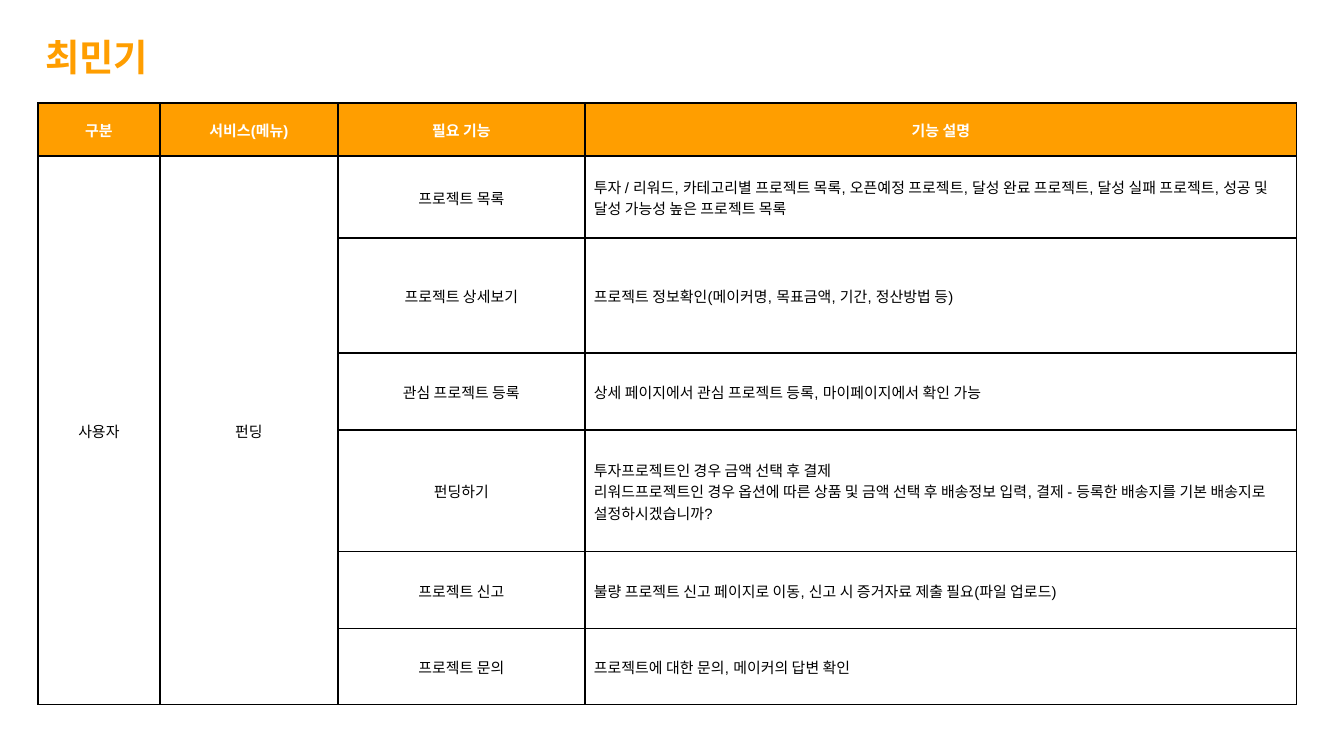
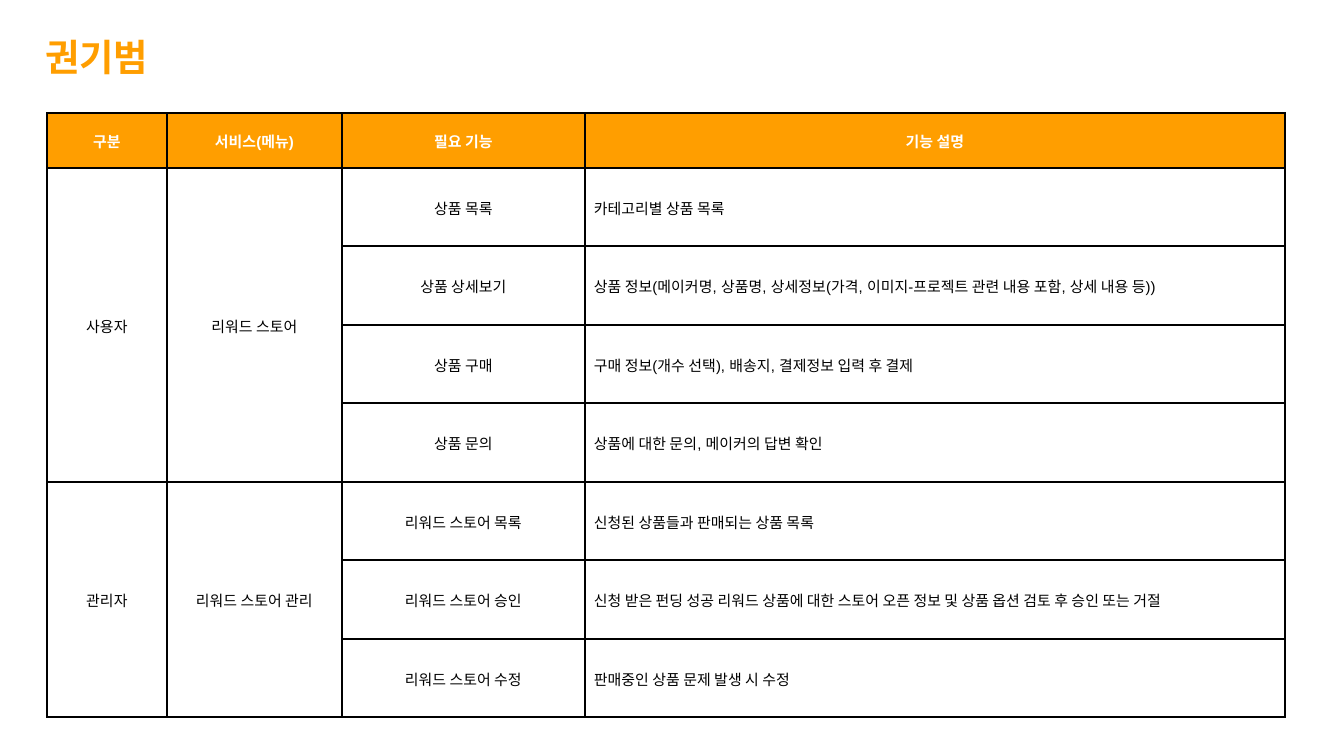
from lxml.etree import SubElement
from pptx import Presentation
from pptx.dml.color import RGBColor
from pptx.enum.shapes import MSO_SHAPE
from pptx.enum.text import MSO_ANCHOR, MSO_AUTO_SIZE, PP_ALIGN
from pptx.oxml.ns import qn
from pptx.util import Emu, Pt

EMU_PER_PX = 914400 / 134.4
SLIDE_WIDTH, SLIDE_HEIGHT = 1344, 756
FONT = "Arial"
ORANGE = RGBColor(0xFF, 0x9E, 0x00)
WHITE = RGBColor(0xFF, 0xFF, 0xFF)
BLACK = RGBColor(0x00, 0x00, 0x00)
CHARCOAL = RGBColor(0x43, 0x43, 0x43)

HEADINGS = ["구분", "서비스(메뉴)", "필요 기능", "기능 설명"]

FUNDING = [
    ("사용자", "펀딩", [
        ("프로젝트 목록",
         "투자 / 리워드, 카테고리별 프로젝트 목록, 오픈예정 프로젝트, 달성 완료 프로젝트, "
         "달성 실패 프로젝트, 성공 및 달성 가능성 높은 프로젝트 목록"),
        ("프로젝트 상세보기", "프로젝트 정보확인(메이커명, 목표금액, 기간, 정산방법 등)"),
        ("관심 프로젝트 등록", "상세 페이지에서 관심 프로젝트 등록, 마이페이지에서 확인 가능"),
        ("펀딩하기",
         "투자프로젝트인 경우 금액 선택 후 결제\n"
         "리워드프로젝트인 경우 옵션에 따른 상품 및 금액 선택 후 배송정보 입력, 결제 - "
         "등록한 배송지를 기본 배송지로 설정하시겠습니까?"),
        ("프로젝트 신고", "불량 프로젝트 신고 페이지로 이동, 신고 시 증거자료 제출 필요(파일 업로드)"),
        ("프로젝트 문의", "프로젝트에 대한 문의, 메이커의 답변 확인"),
    ]),
]

REWARD_STORE = [
    ("사용자", "리워드 스토어", [
        ("상품 목록", "카테고리별 상품 목록"),
        ("상품 상세보기",
         "상품 정보(메이커명, 상품명, 상세정보(가격, 이미지-프로젝트 관련 내용 포함, 상세 내용 등))"),
        ("상품 구매", "구매 정보(개수 선택), 배송지, 결제정보 입력 후 결제"),
        ("상품 문의", "상품에 대한 문의, 메이커의 답변 확인"),
    ]),
    ("관리자", "리워드 스토어 관리", [
        ("리워드 스토어 목록", "신청된 상품들과 판매되는 상품 목록"),
        ("리워드 스토어 승인",
         "신청 받은 펀딩 성공 리워드 상품에 대한 스토어 오픈 정보 및 상품 옵션 검토 후 승인 또는 거절"),
        ("리워드 스토어 수정", "판매중인 상품 문제 발생 시 수정"),
    ]),
]


def px(length):
    return Emu(round(length * EMU_PER_PX))


def split_evenly(total, count):
    edges = [round(total * i / count) for i in range(count + 1)]
    return [end - start for start, end in zip(edges, edges[1:])]


def add_run(paragraph, text, size, color, bold):
    run = paragraph.add_run()
    run.text = text
    run.font.name = FONT
    run.font.size = Pt(size)
    run.font.bold = bold
    run.font.color.rgb = color


def add_borders(cell):
    properties = cell._tc.get_or_add_tcPr()
    for side in ("a:lnL", "a:lnR", "a:lnT", "a:lnB"):
        line = SubElement(properties, qn(side), w=str(Pt(0.75)))
        fill = SubElement(line, qn("a:solidFill"))
        SubElement(fill, qn("a:srgbClr"), val=str(BLACK))


def write_cell(cell, text, color=BLACK, bold=False, align=PP_ALIGN.CENTER, indent=1):
    cell.vertical_anchor = MSO_ANCHOR.MIDDLE
    cell.margin_left = px(indent)
    cell.margin_right = cell.margin_top = px(1)
    cell.margin_bottom = 0
    paragraph = cell.text_frame.paragraphs[0]
    paragraph.alignment = align
    for number, line in enumerate(text.split("\n")):
        if number:
            paragraph.add_line_break()
        add_run(paragraph, line, 8, color, bold)


def add_background(slide):
    slide.background.fill.solid()
    slide.background.fill.fore_color.rgb = CHARCOAL
    sheet = slide.shapes.add_shape(MSO_SHAPE.RECTANGLE, 0, 0, px(SLIDE_WIDTH), px(SLIDE_HEIGHT))
    sheet.shadow.inherit = False
    sheet.fill.solid()
    sheet.fill.fore_color.rgb = WHITE
    sheet.line.fill.background()


def add_title(slide, name, box):
    title = slide.shapes.add_textbox(*map(px, box)).text_frame
    title.word_wrap = True
    title.auto_size = MSO_AUTO_SIZE.SHAPE_TO_FIT_TEXT
    add_run(title.paragraphs[0], name, 20, ORANGE, True)


def add_feature_table(slide, left, top, widths, heights, groups):
    table = slide.shapes.add_table(
        len(heights), len(widths), px(left), px(top), px(sum(widths)), px(sum(heights))
    ).table
    table.horz_banding = False
    for column, width in zip(table.columns, widths):
        column.width = px(width)
    for row, height in zip(table.rows, heights):
        row.height = px(height)
    for cell in table.iter_cells():
        add_borders(cell)
        cell.fill.background()

    for column, heading in enumerate(HEADINGS):
        cell = table.cell(0, column)
        cell.fill.solid()
        cell.fill.fore_color.rgb = ORANGE
        write_cell(cell, heading, WHITE, True)

    first = 1
    for role, service, features in groups:
        last = first + len(features) - 1
        for column, label in enumerate((role, service)):
            table.cell(first, column).merge(table.cell(last, column))
            write_cell(table.cell(first, column), label)
        for row, (feature, description) in enumerate(features, first):
            write_cell(table.cell(row, 2), feature)
            write_cell(table.cell(row, 3), description, align=PP_ALIGN.LEFT, indent=9)
        first = last + 1


def add_member_slide(deck, name, left, top, widths, heights, groups):
    slide = deck.slides.add_slide(deck.slide_layouts[6])
    add_background(slide)
    add_title(slide, name, (32, 28, 164, 59))
    add_feature_table(slide, left, top, widths, heights, groups)


def main():
    deck = Presentation()
    deck.slide_width, deck.slide_height = px(SLIDE_WIDTH), px(SLIDE_HEIGHT)
    add_member_slide(deck, "최민기", 38, 103, [122, 178, 247, 712],
                     [53, 82, 115, 77, 122, 77, 76], FUNDING)
    add_member_slide(deck, "권기범", 47, 113, [120, 175, 243, 700],
                     [55] + split_evenly(549, 7), REWARD_STORE)
    deck.save("out.pptx")


if __name__ == "__main__":
    main()
